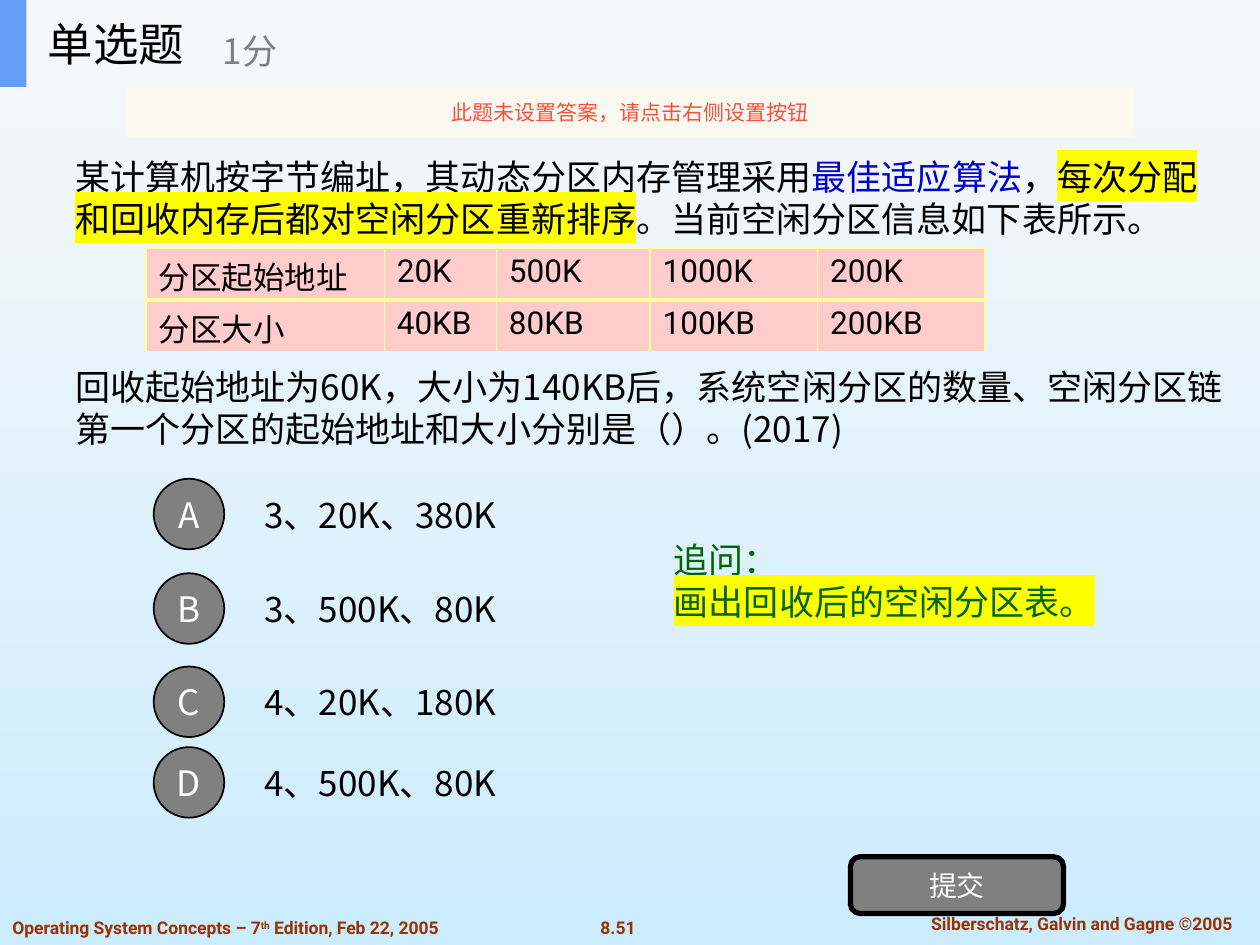
from dataclasses import dataclass

from lxml import etree
from pptx import Presentation
from pptx import util as u
from pptx.dml.color import RGBColor
from pptx.enum import shapes, text
from pptx.oxml.ns import qn


@dataclass(frozen=True)
class Theme:
    cjk: str = "Noto Sans CJK SC"
    latin: str = "Roboto"
    black: str = "000000"
    white: str = "FFFFFF"
    gray: str = "808080"
    blue: str = "0000CC"
    green: str = "006600"
    footer: str = "993300"
    highlight: str = "FFFF00"
    warning: str = "F84F41"
    notice: str = "FBFAEF"
    header: str = "F6F7F8"
    accent: str = "639EF4"
    cell: str = "FFCCCC"
    border: str = "FFFF99"
    sky_top: str = "F8F8F8"
    sky_bottom: str = "CCECFF"
    title_size: float = 26
    body_size: float = 20
    table_size: float = 18
    button_size: float = 16
    notice_size: float = 12
    footer_size: float = 10
    body_pitch: float = 24


THEME = Theme()


def color(value):
    return RGBColor.from_string(value)


def add_color(parent, tag, value):
    element = etree.SubElement(parent, qn(tag))
    etree.SubElement(element, qn("a:srgbClr")).set("val", value)


def add_text(paragraph, content, size=THEME.body_size, ink=THEME.black, font=THEME.cjk,
             bold=False, highlight=None, baseline=None):
    run = paragraph.add_run()
    run.text = content
    run.font.size = u.Pt(size)
    run.font.bold = bold
    run.font.color.rgb = color(ink)
    properties = run._r.get_or_add_rPr()
    if highlight:
        add_color(properties, "a:highlight", highlight)
    run.font.name = font
    etree.SubElement(properties, qn("a:ea")).set("typeface", THEME.cjk)
    if baseline:
        properties.set("baseline", str(baseline * 1000))


class SlideBuilder:
    def __init__(self, slide, theme):
        self.slide = slide
        self.theme = theme

    def background(self):
        fill = self.slide.background.fill
        fill.gradient()
        fill.gradient_angle = 270
        for stop, value in zip(fill.gradient_stops, (self.theme.sky_top, self.theme.sky_bottom)):
            stop.color.rgb = color(value)

    def text_box(self, box, paragraphs, align=text.PP_ALIGN.LEFT,
                 anchor=text.MSO_ANCHOR.MIDDLE, pitch=None, gap=0):
        frame = self.slide.shapes.add_textbox(*map(u.Inches, box)).text_frame
        frame.word_wrap = True
        frame.vertical_anchor = anchor
        for index, runs in enumerate(paragraphs):
            paragraph = frame.add_paragraph() if index else frame.paragraphs[0]
            paragraph.alignment = align
            if pitch:
                paragraph.line_spacing = u.Pt(pitch)
            if index and gap:
                paragraph.space_before = u.Pt(gap)
            for content, style in runs:
                add_text(paragraph, content, **style)

    def shape(self, kind, box, fill, line=0, label=None, alpha=None, **style):
        shape = self.slide.shapes.add_shape(kind, *map(u.Inches, box))
        shape.shadow.inherit = False
        shape.fill.solid()
        shape.fill.fore_color.rgb = color(fill)
        if alpha:
            value = shape._element.spPr.find(qn("a:solidFill")).find(qn("a:srgbClr"))
            etree.SubElement(value, qn("a:alpha")).set("val", str(alpha * 1000))
        if line:
            shape.line.color.rgb = color(self.theme.black)
            shape.line.width = u.Pt(line)
        else:
            shape.line.fill.background()
        if label:
            frame = shape.text_frame
            frame.word_wrap = False
            frame.vertical_anchor = text.MSO_ANCHOR.MIDDLE
            frame.paragraphs[0].alignment = text.PP_ALIGN.CENTER
            add_text(frame.paragraphs[0], label, **style)

    def table(self, box, widths, rows):
        table = self.slide.shapes.add_table(len(rows), len(widths), *map(u.Inches, box)).table
        table.first_row = table.horz_banding = False
        for column, width in zip(table.columns, widths):
            column.width = u.Inches(width)
        for row_index, row in enumerate(rows):
            for column_index, content in enumerate(row):
                cell = table.cell(row_index, column_index)
                cell.margin_top, cell.margin_bottom = u.Inches(0.04), 0
                add_text(cell.text_frame.paragraphs[0], content,
                         size=self.theme.table_size, font=self.theme.latin)
                inner = {"T": row_index > 0, "B": row_index < len(rows) - 1}
                for side in "LRTB":
                    border = etree.SubElement(cell._tc.get_or_add_tcPr(), qn("a:ln" + side))
                    border.set("w", str(u.Pt(3 if inner.get(side) else 1)))
                    add_color(border, "a:solidFill", self.theme.border)
                cell.fill.solid()
                cell.fill.fore_color.rgb = color(self.theme.cell)

    def option(self, letter, answer, top):
        self.shape(shapes.MSO_SHAPE.OVAL, (1.22, top, 0.56, 0.56), self.theme.gray,
                   line=1, label=letter, ink=self.theme.white)
        self.text_box((2, top - 0.07, 3.23, 0.7), [[(answer, {})]])

    def footer(self, box, runs, align):
        base = dict(size=self.theme.footer_size, ink=self.theme.footer,
                    font=self.theme.latin, bold=True)
        paragraph = [(content, {**base, **extra}) for content, extra in runs]
        self.text_box(box, [paragraph], align, text.MSO_ANCHOR.TOP)


def main():
    presentation = Presentation()
    presentation.slide_width, presentation.slide_height = u.Inches(10), u.Inches(7.5)
    slide = SlideBuilder(presentation.slides.add_slide(presentation.slide_layouts[6]), THEME)
    slide.background()

    slide.footer((4.64, 7.23, 0.53, 0.27), [("8.51", {})], text.PP_ALIGN.CENTER)
    slide.footer((7.1, 7.2, 2.97, 0.27), [("Silberschatz, Galvin and Gagne ©2005", {})],
                 text.PP_ALIGN.CENTER)
    slide.footer((0, 7.23, 4.21, 0.27),
                 [("Operating System Concepts – 7", {}), ("th", {"baseline": 30}),
                  (" Edition, Feb 22, 2005", {})], text.PP_ALIGN.LEFT)

    marked = {"highlight": THEME.highlight}
    question = [
        [("某计算机按字节编址，其动态分区内存管理采用", {}),
         ("最佳适应算法", {"ink": THEME.blue}),
         ("，", {}),
         ("每次分配和回收内存后都对空闲分区重新排序", marked),
         ("。当前空闲分区信息如下表所示。", {})],
        [("回收起始地址为60K，大小为140KB后，系统空闲分区的数量、"
          "空闲分区链第一个分区的起始地址和大小分别是（）。(2017)", {})],
    ]
    slide.text_box((0.5, 1.01, 9.36, 2.78), question,
                   pitch=THEME.body_pitch, gap=3 * THEME.body_pitch)
    slide.table((1.16, 1.97, 6.66, 0.82), (1.89, 0.89, 1.22, 1.33, 1.33),
                (("分区起始地址", "20K", "500K", "1000K", "200K"),
                 ("分区大小", "40KB", "80KB", "100KB", "200KB")))

    for letter, answer, top in (("A", "3、20K、380K", 3.8), ("B", "3、500K、80K", 4.55),
                                ("C", "4、20K、180K", 5.29), ("D", "4、500K、80K", 5.93)):
        slide.option(letter, answer, top)

    follow_up = [[("追问：", {"ink": THEME.green})],
                 [("画出回收后的空闲分区表。", {"ink": THEME.green, **marked})]]
    slide.text_box((5.25, 4.26, 3.65, 0.7), follow_up, pitch=THEME.body_pitch)
    slide.shape(shapes.MSO_SHAPE.ROUNDED_RECTANGLE, (6.75, 6.8, 1.69, 0.45), THEME.gray,
                line=3, label="提交", size=THEME.button_size, ink=THEME.white)

    slide.shape(shapes.MSO_SHAPE.RECTANGLE, (0, 0, 10, 0.69), THEME.header)
    slide.shape(shapes.MSO_SHAPE.RECTANGLE, (0, 0, 0.21, 0.69), THEME.accent)
    slide.text_box((0.28, 0, 2.08, 0.69), [[("单选题", {"size": THEME.title_size})]])
    slide.text_box((1.67, 0.12, 2.5, 0.56), [[("1分", {"ink": THEME.gray})]])
    slide.shape(shapes.MSO_SHAPE.RECTANGLE, (1, 0.69, 8, 0.4), THEME.notice, alpha=90,
                label="此题未设置答案，请点击右侧设置按钮", size=THEME.notice_size, ink=THEME.warning)

    presentation.save("out.pptx")


if __name__ == "__main__":
    main()
